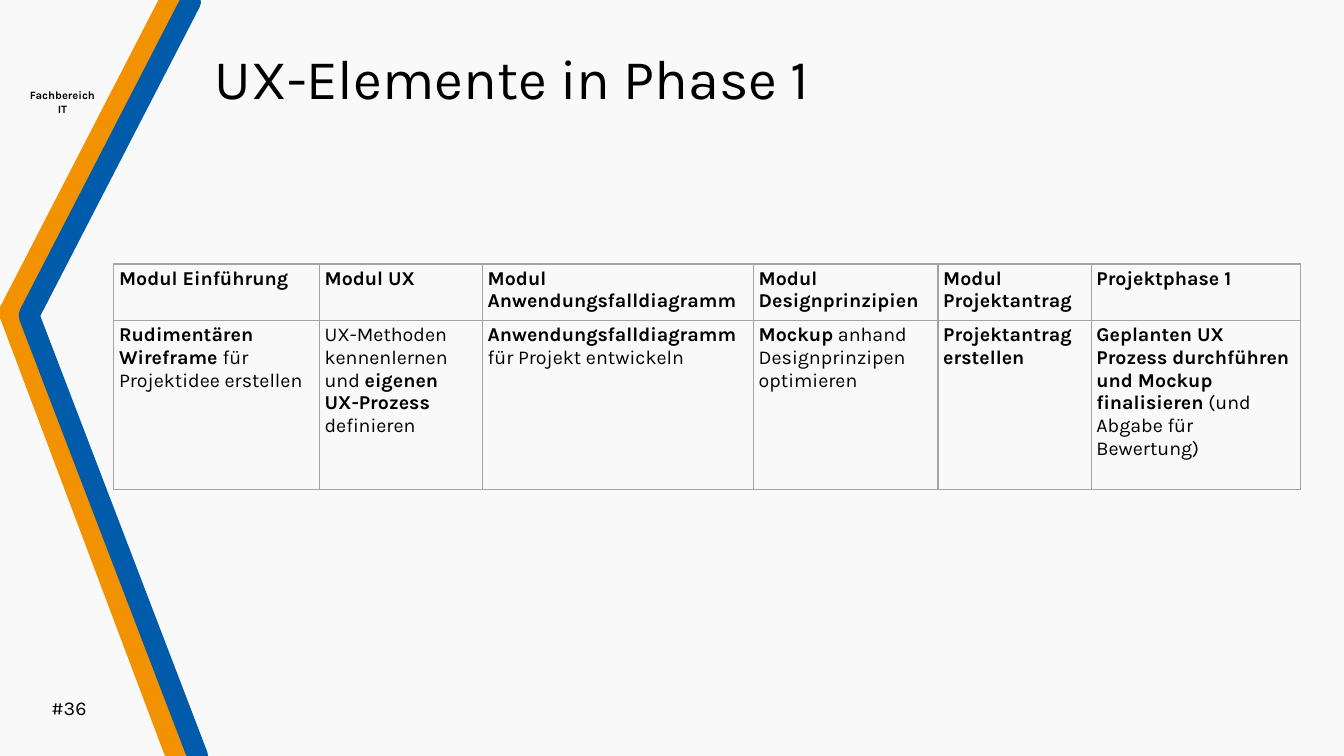
from dataclasses import dataclass

from lxml import etree
from pptx import Presentation
from pptx.dml.color import RGBColor
from pptx.enum.shapes import MSO_CONNECTOR
from pptx.enum.text import MSO_ANCHOR, PP_ALIGN
from pptx.oxml.ns import qn
from pptx.util import Cm, Pt

STRAIGHT = MSO_CONNECTOR.STRAIGHT
LEFT, CENTER = PP_ALIGN.LEFT, PP_ALIGN.CENTER
TOP = MSO_ANCHOR.TOP


@dataclass(frozen=True)
class Theme:
    font: str = "Karla"
    background: str = "F9F9F9"
    text: str = "000000"
    orange: str = "F39200"
    blue: str = "005CAB"
    grid: str = "A3A3A3"
    title_size: int = 40
    body_size: int = 14
    label_size: int = 8
    band_width: int = 15
    grid_width: int = 1


@dataclass(frozen=True)
class Span:
    text: str
    bold: bool = False


@dataclass(frozen=True)
class Label:
    lines: tuple[Span, ...]
    left: float
    top: float
    width: float
    height: float
    size: int
    align: PP_ALIGN


@dataclass(frozen=True)
class Band:
    """A bent stripe: two straight legs that meet at the corner."""
    color: str
    corners: tuple[tuple[float, float], tuple[float, float]]
    ends: tuple[tuple[float, float], tuple[float, float]]


@dataclass(frozen=True)
class Module:
    name: str
    width: float
    task: tuple[Span, ...]


THEME = Theme()

BANDS = (
    Band(THEME.orange, ((0.23, 7.87), (0.23, 7.87)), ((4.29, 0), (4.42, 19.0))),
    Band(THEME.blue, ((0.74, 7.92), (0.74, 7.98)), ((4.8, 0.05), (4.98, 19.05))),
)

LABELS = (
    Label((Span("Fachbereich", True), Span("IT", True)),
          0, 2.11, 3.15, 0.94, THEME.label_size, CENTER),
    Label((Span("UX-Elemente in Phase 1"),),
          5.16, 0.97, 27.84, 3.78, THEME.title_size, LEFT),
    Label((Span("#36"),), 0.61, 17.42, 2.26, 1.02, THEME.body_size, CENTER),
)

MODULES = (
    Module("Modul Einführung", 5.18,
           (Span("Rudimentären Wireframe ", True), Span("für Projektidee erstellen"))),
    Module("Modul UX", 4.11,
           (Span("UX-Methoden kennenlernen und "), Span("eigenen UX-Prozess", True),
            Span(" definieren"))),
    Module("Modul Anwendungsfalldiagramm", 6.83,
           (Span("Anwendungsfalldiagramm", True), Span(" für Projekt entwickeln"))),
    Module("Modul Designprinzipien", 4.65,
           (Span("Mockup", True), Span(" anhand Designprinzipen optimieren"))),
    Module("Modul Projektantrag", 3.86, (Span("Projektantrag erstellen", True),)),
    Module("Projektphase 1", 5.27,
           (Span("Geplanten UX Prozess durchführen und Mockup finalisieren", True),
            Span(" (und Abgabe für Bewertung)"))),
)
TABLE_LEFT, TABLE_TOP = 2.87, 6.65
ROW_HEIGHTS = (1.42, 4.27)


def add_span(para, span: Span, size: int) -> None:
    run = para.add_run()
    run.text = span.text
    run.font.name = THEME.font
    run.font.size = Pt(size)
    run.font.bold = span.bold
    run.font.color.rgb = RGBColor.from_string(THEME.text)


def add_label(page, label: Label) -> None:
    box = page.shapes.add_textbox(
        Cm(label.left), Cm(label.top), Cm(label.width), Cm(label.height))
    frame = box.text_frame
    frame.word_wrap = True
    frame.vertical_anchor = TOP
    for index, span in enumerate(label.lines):
        para = frame.add_paragraph() if index else frame.paragraphs[0]
        para.alignment = label.align
        add_span(para, span, label.size)


def add_band(page, band: Band) -> None:
    for corner, end in zip(band.corners, band.ends):
        leg = page.shapes.add_connector(
            STRAIGHT, *(Cm(value) for value in corner + end))
        leg.line.width = Pt(THEME.band_width)
        leg.line.color.rgb = RGBColor.from_string(band.color)
        properties = leg._element.spPr
        properties.find(qn("a:ln")).set("cap", "rnd")
        etree.SubElement(properties, qn("a:effectLst"))


def set_borders(cell) -> None:
    properties = cell._tc.get_or_add_tcPr()
    for index, side in enumerate(("a:lnL", "a:lnR", "a:lnT", "a:lnB")):
        border = etree.Element(qn(side), w=str(Pt(THEME.grid_width)))
        fill = etree.SubElement(border, qn("a:solidFill"))
        etree.SubElement(fill, qn("a:srgbClr"), val=THEME.grid)
        properties.insert(index, border)


def fill_cell(cell, spans: tuple[Span, ...]) -> None:
    cell.fill.background()
    cell.margin_left = cell.margin_right = Cm(0.13)
    cell.margin_top = cell.margin_bottom = Cm(0.08)
    cell.vertical_anchor = TOP
    set_borders(cell)
    for span in spans:
        add_span(cell.text_frame.paragraphs[0], span, THEME.body_size)


def add_module_table(page) -> None:
    width = sum(module.width for module in MODULES)
    table = page.shapes.add_table(
        len(ROW_HEIGHTS), len(MODULES), Cm(TABLE_LEFT), Cm(TABLE_TOP),
        Cm(width), Cm(sum(ROW_HEIGHTS))).table
    table.first_row = False
    table.horz_banding = False
    for row, height in zip(table.rows, ROW_HEIGHTS):
        row.height = Cm(height)
    for index, module in enumerate(MODULES):
        table.columns[index].width = Cm(module.width)
        fill_cell(table.cell(0, index), (Span(module.name, True),))
        fill_cell(table.cell(1, index), module.task)


def main() -> None:
    deck = Presentation()
    deck.slide_width, deck.slide_height = Cm(33.87), Cm(19.05)
    page = deck.slides.add_slide(deck.slide_layouts[6])
    page.background.fill.solid()
    page.background.fill.fore_color.rgb = RGBColor.from_string(THEME.background)
    for band in BANDS:
        add_band(page, band)
    for label in LABELS:
        add_label(page, label)
    add_module_table(page)
    deck.save("out.pptx")


if __name__ == "__main__":
    main()
